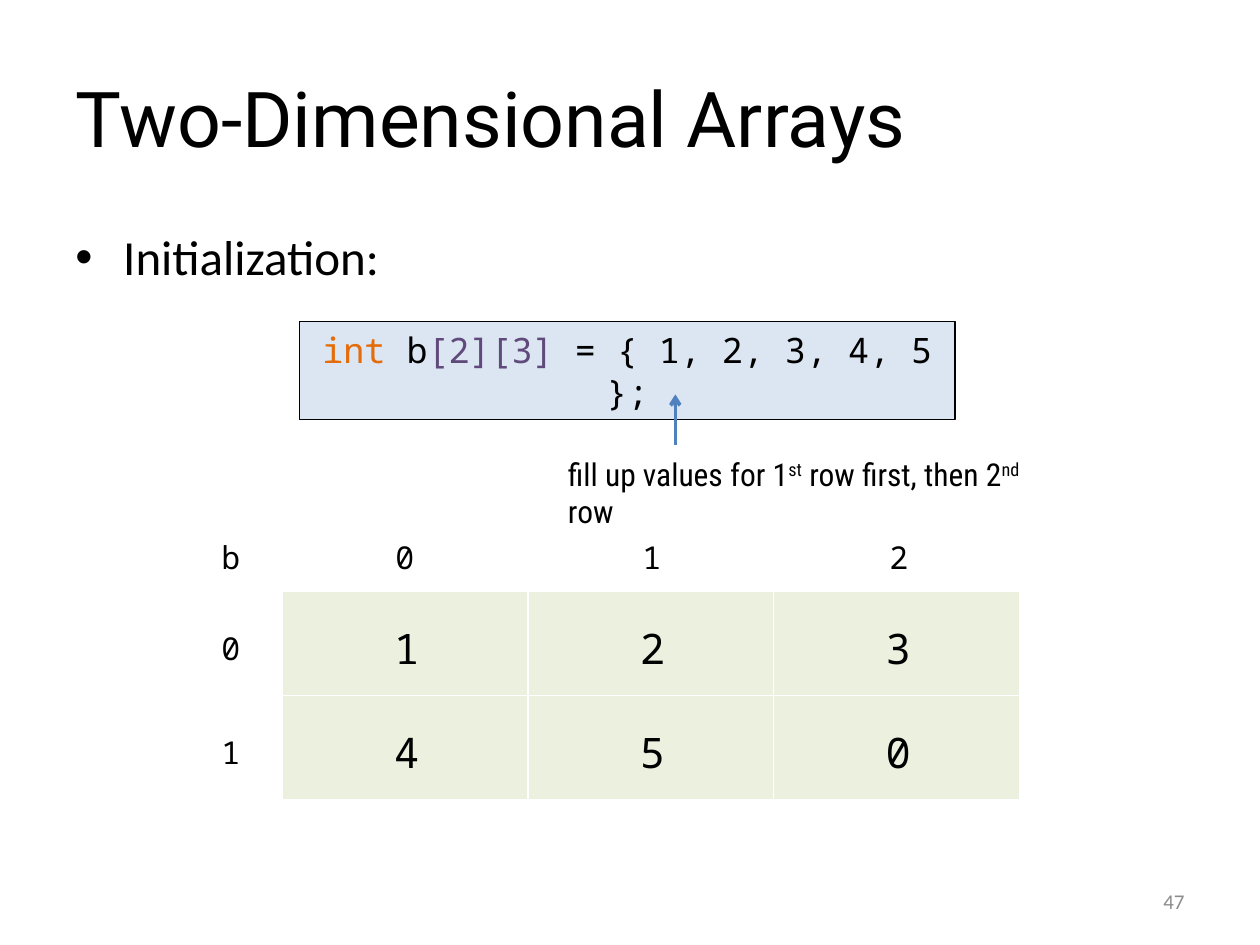
from lxml import etree
from pptx import Presentation
from pptx.dml.color import RGBColor
from pptx.enum.shapes import MSO_CONNECTOR, MSO_SHAPE
from pptx.enum.text import MSO_ANCHOR, MSO_AUTO_SIZE, PP_ALIGN
from pptx.oxml.ns import qn
from pptx.util import Inches, Pt

COLORS = {
    "text": "000000", "muted": "8C8C8C", "code_fill": "DCE6F2",
    "keyword": "E46C0A", "index": "604A7B", "arrow": "4F81BD",
    "cell": "EBF1DE", "border": "FFFFFF",
}
MONO = "Noto Sans Mono"

TITLE = "Two-Dimensional Arrays"
BULLET = "Initialization:"
PAGE = "47"
CODE = [("int", "keyword"), (" b", "text"), ("[2][3]", "index"),
        (" = { 1, 2, 3, 4, 5 };", "text")]
NOTE = [("fill up values for 1", 0), ("st", 30000), (" row first, then 2", 0),
        ("nd", 30000), (" row", 0)]
ARRAY_NAME = "b"
VALUES = [[1, 2, 3], [4, 5, 0]]

TABLE_LEFT, TABLE_TOP = 2.24, 4.69
COLUMN_WIDTH, ROW_HEIGHT = 1.95, 0.83
ROW_LABEL_LEFT, COLUMN_LABEL_TOP = 1.66, 4.22


def rgb(name):
    return RGBColor.from_string(COLORS[name])


def style(run, size, font, color="text"):
    run.font.size = Pt(size)
    run.font.name = font
    run.font.color.rgb = rgb(color)


def add_text(slide, box, text, size, font, color="text", wrap=True):
    shape = slide.shapes.add_textbox(*map(Inches, box))
    frame = shape.text_frame
    frame.word_wrap = wrap
    frame.text = text
    for run in frame.paragraphs[0].runs:
        style(run, size, font, color)
    return shape


def add_label(slide, left, top, text, size):
    width, height = (0.34, 0.4) if size == 18 else (0.4, 0.5)
    shape = add_text(slide, (left, top, width, height), str(text), size, MONO, wrap=False)
    shape.text_frame.auto_size = MSO_AUTO_SIZE.SHAPE_TO_FIT_TEXT


def add_bullet(slide):
    shape = add_text(slide, (0.5, 1.75, 9, 4.95), BULLET, 28, "Calibri")
    properties = shape.text_frame.paragraphs[0]._p.get_or_add_pPr()
    properties.set("marL", str(Inches(0.38)))
    properties.set("indent", str(-Inches(0.38)))
    etree.SubElement(properties, qn("a:buFont"), typeface="Arial")
    etree.SubElement(properties, qn("a:buChar"), char="•")


def add_code(slide):
    shape = slide.shapes.add_shape(
        MSO_SHAPE.RECTANGLE, *map(Inches, (2.38, 2.55, 5.2, 0.78)))
    shape.shadow.inherit = False
    shape.fill.solid()
    shape.fill.fore_color.rgb = rgb("code_fill")
    shape.line.color.rgb = rgb("text")
    shape.line.width = Pt(0.75)
    frame = shape.text_frame
    frame.word_wrap = True
    frame.vertical_anchor = MSO_ANCHOR.MIDDLE
    paragraph = frame.paragraphs[0]
    paragraph.alignment = PP_ALIGN.CENTER
    for text, color in CODE:
        run = paragraph.add_run()
        run.text = text
        style(run, 20, MONO, color)


def add_arrow(slide):
    arrow = slide.shapes.add_connector(
        MSO_CONNECTOR.STRAIGHT, *map(Inches, (5.36, 3.53, 5.36, 3.13)))
    arrow.line.color.rgb = rgb("arrow")
    arrow.line.width = Pt(2)
    etree.SubElement(arrow.line._get_or_add_ln(), qn("a:tailEnd"), type="arrow")
    etree.SubElement(arrow._element.spPr, qn("a:effectLst"))


def add_note(slide):
    shape = add_text(slide, (4.41, 3.56, 3.87, 0.4), "", 18, "Roboto Condensed")
    for text, baseline in NOTE:
        run = shape.text_frame.paragraphs[0].add_run()
        run.text = text
        style(run, 18, "Roboto Condensed")
        if baseline:
            run.font._element.set("baseline", str(baseline))


def add_borders(cell):
    properties = cell._tc.get_or_add_tcPr()
    for position, side in enumerate(("lnL", "lnR", "lnT", "lnB")):
        line = etree.Element(qn(f"a:{side}"), w=str(Pt(1)))
        fill = etree.SubElement(line, qn("a:solidFill"))
        etree.SubElement(fill, qn("a:srgbClr"), val=COLORS["border"])
        properties.insert(position, line)


def add_grid(slide):
    """Draw the coloured cells; values and indices are labels placed on them."""
    rows, columns = len(VALUES), len(VALUES[0])
    box = TABLE_LEFT, TABLE_TOP, columns * COLUMN_WIDTH, rows * ROW_HEIGHT
    table = slide.shapes.add_table(rows, columns, *map(Inches, box)).table
    table.first_row = table.horz_banding = False
    for cell in table.iter_cells():
        cell.fill.solid()
        cell.fill.fore_color.rgb = rgb("cell")
        add_borders(cell)


def add_grid_labels(slide):
    add_label(slide, ROW_LABEL_LEFT, COLUMN_LABEL_TOP, ARRAY_NAME, 18)
    for column in range(len(VALUES[0])):
        left = TABLE_LEFT + 0.8 + column * 1.96
        add_label(slide, left, COLUMN_LABEL_TOP, column, 18)
    for row, values in enumerate(VALUES):
        top = TABLE_TOP + row * ROW_HEIGHT
        add_label(slide, ROW_LABEL_LEFT, top + 0.25, row, 18)
        for column, value in enumerate(values):
            left = TABLE_LEFT + 0.79 + column * COLUMN_WIDTH
            add_label(slide, left, top + 0.2, value, 24)


def main():
    presentation = Presentation()
    presentation.slide_width, presentation.slide_height = Inches(10), Inches(7.5)
    slide = presentation.slides.add_slide(presentation.slide_layouts[5])

    title = slide.shapes.title
    title.left, title.top, title.width, title.height = map(Inches, (0.5, 0.3, 9, 1.25))
    title.text_frame.text = TITLE
    title.text_frame.vertical_anchor = MSO_ANCHOR.MIDDLE
    paragraph = title.text_frame.paragraphs[0]
    paragraph.alignment = PP_ALIGN.LEFT
    style(paragraph.runs[0], 44, "Roboto")

    add_bullet(slide)
    page = add_text(slide, (7.17, 6.95, 2.33, 0.4), PAGE, 12, "Calibri", "muted")
    page.text_frame.vertical_anchor = MSO_ANCHOR.MIDDLE
    page.text_frame.paragraphs[0].alignment = PP_ALIGN.RIGHT
    add_code(slide)
    add_grid(slide)
    add_arrow(slide)
    add_note(slide)
    add_grid_labels(slide)
    presentation.save("out.pptx")


if __name__ == "__main__":
    main()
